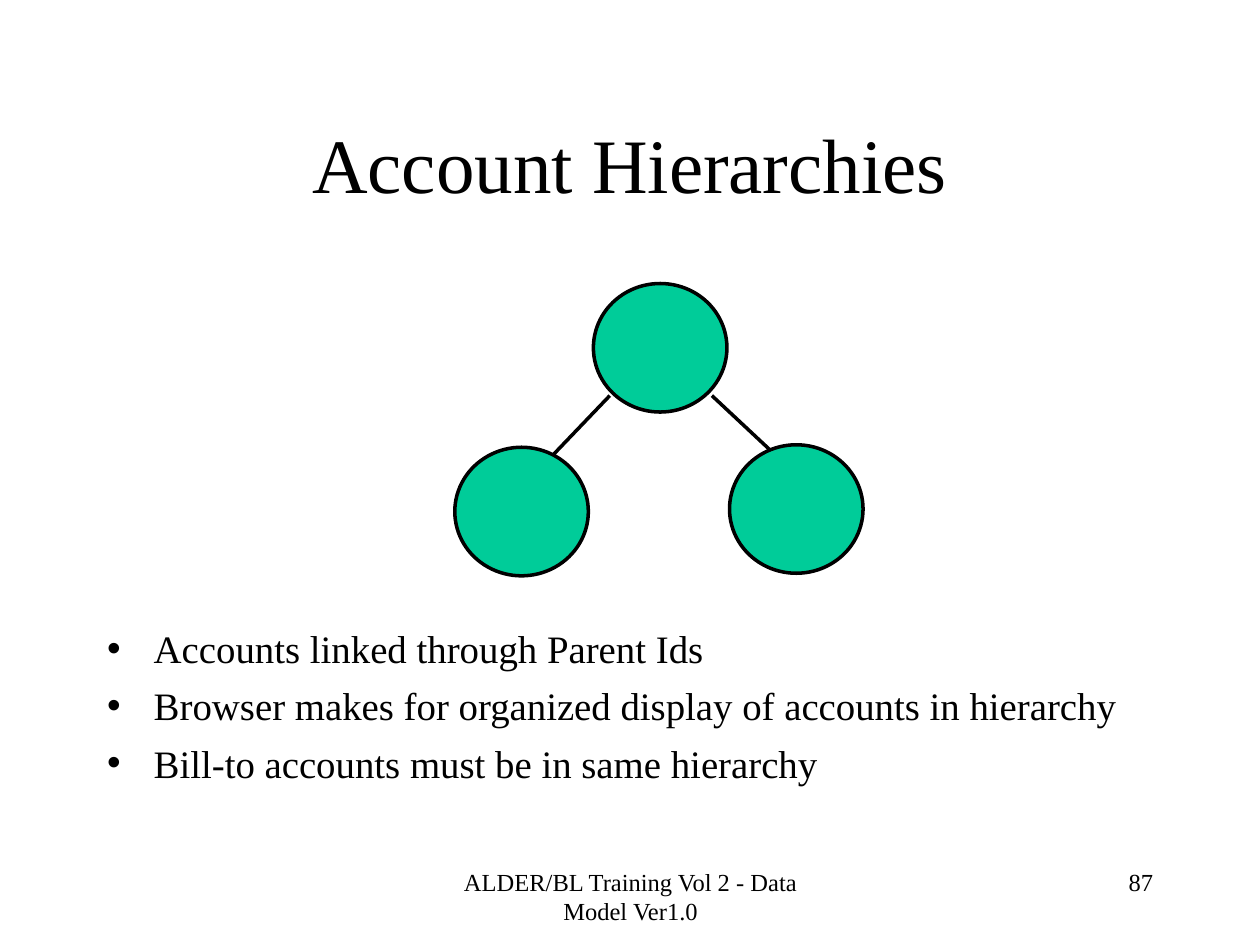
from lxml.etree import SubElement
from pptx import Presentation
from pptx.dml.color import RGBColor
from pptx.enum.shapes import MSO_CONNECTOR as Conn, MSO_SHAPE as Shape
from pptx.enum.text import MSO_ANCHOR as Anchor, MSO_AUTO_SIZE as Fit, PP_ALIGN as Align
from pptx.oxml.ns import qn
from pptx.util import Inches, Pt

BLACK = RGBColor(0x00, 0x00, 0x00)
GREEN = RGBColor(0x00, 0xCC, 0x99)
FONT = "Times New Roman"
NODE = (1.06, 1.02)
NODES = [(4.71, 2.25), (3.61, 3.55), (5.79, 3.53)]
LINKS = [(5.65, 3.14, 6.11, 3.57), (4.84, 3.14, 4.39, 3.61)]
POINTS = [
    "Accounts linked through Parent Ids",
    "Browser makes for organized display of accounts in hierarchy",
    "Bill-to accounts must be in same hierarchy",
]


def place(shape, left, top, width, height):
    shape.left, shape.top = Inches(left), Inches(top)
    shape.width, shape.height = Inches(width), Inches(height)


def set_frame(shape, anchor=Anchor.TOP):
    frame = shape.text_frame
    frame.word_wrap = True
    frame.auto_size = Fit.NONE
    frame.vertical_anchor = anchor
    return frame


def add_run(para, text, size, align):
    para.alignment = align
    run = para.add_run()
    run.text = text
    run.font.name = FONT
    run.font.size = Pt(size)
    run.font.color.rgb = BLACK


def add_bullet(para):
    """Give the paragraph a black bullet and a hanging indent."""
    props = para._p.get_or_add_pPr()
    props.set("marL", str(Inches(0.37)))
    props.set("indent", str(Inches(-0.37)))
    color = SubElement(props, qn("a:buClr"))
    SubElement(color, qn("a:srgbClr"), val=str(BLACK))
    SubElement(props, qn("a:buChar"), char="•")


def add_title(slide):
    title = slide.shapes.title
    place(title, 0.75, 0.67, 8.5, 1.25)
    frame = set_frame(title, Anchor.MIDDLE)
    add_run(frame.paragraphs[0], "Account Hierarchies", 44, Align.CENTER)


def add_list(slide):
    body = slide.placeholders[1]
    place(body, 0.75, 4.91, 8.5, 1.39)
    frame = set_frame(body)
    for i, text in enumerate(POINTS):
        para = frame.add_paragraph() if i else frame.paragraphs[0]
        add_run(para, text, 22.2, Align.LEFT)
        para.space_before = Pt(6)
        add_bullet(para)


def add_link(shapes, ends):
    link = shapes.add_connector(Conn.STRAIGHT, *map(Inches, ends))
    link.line.color.rgb = BLACK
    link.line.width = Pt(2)
    SubElement(link._element.spPr, qn("a:effectLst"))


def add_node(shapes, spot):
    node = shapes.add_shape(Shape.OVAL, *map(Inches, spot + NODE))
    node.shadow.inherit = False
    node.fill.solid()
    node.fill.fore_color.rgb = GREEN
    node.line.color.rgb = BLACK
    node.line.width = Pt(2)


def add_tree(slide):
    group = slide.shapes.add_group_shape()
    for ends in LINKS:
        add_link(group.shapes, ends)
    for spot in NODES:
        add_node(group.shapes, spot)


def add_note(slide, text, left, width, align):
    """Add a small text box on the footer line."""
    box = slide.shapes.add_textbox(*map(Inches, (left, 6.83, width, 0.5)))
    add_run(set_frame(box).paragraphs[0], text, 14, align)


def main():
    deck = Presentation()
    deck.slide_width, deck.slide_height = Inches(10), Inches(7.5)
    slide = deck.slides.add_slide(deck.slide_layouts[1])
    add_title(slide)
    add_list(slide)
    add_tree(slide)
    add_note(slide, "ALDER/BL Training Vol 2 - Data Model Ver1.0", 3.42, 3.17, Align.CENTER)
    add_note(slide, "87", 7.17, 2.08, Align.RIGHT)
    deck.save("out.pptx")


if __name__ == "__main__":
    main()
